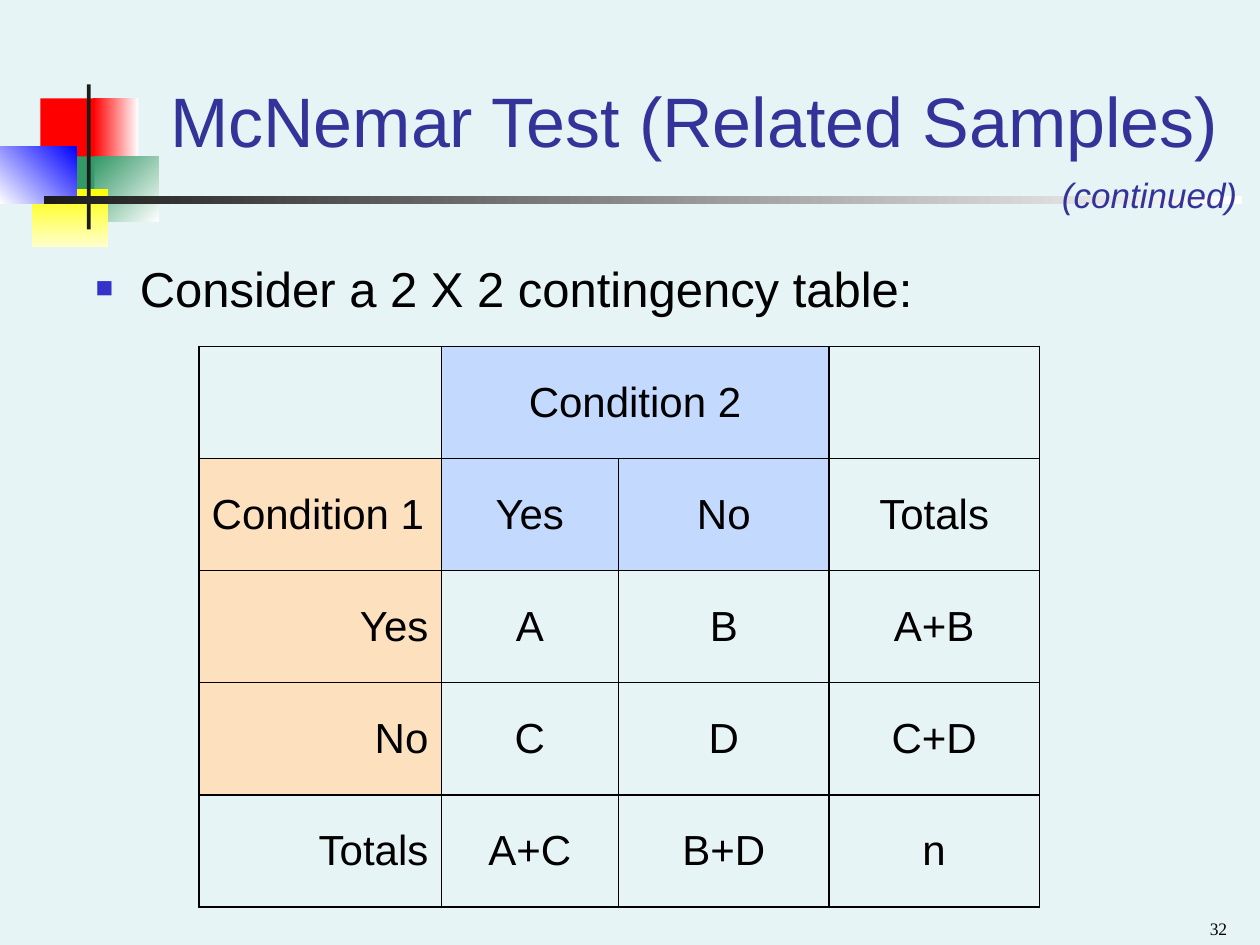
from pptx import Presentation
from pptx.dml.color import RGBColor
from pptx.enum.shapes import MSO_SHAPE as Shape
from pptx.enum.text import MSO_ANCHOR as Anchor, PP_ALIGN as Align
from pptx.oxml import parse_xml
from pptx.oxml.ns import nsdecls
from pptx.util import Inches, Pt

PALE = RGBColor(0xE7, 0xF4, 0xF5)
WHITE = RGBColor(0xFF, 0xFF, 0xFF)
BLACK = RGBColor(0, 0, 0)
DARK = RGBColor(0x1C, 0x1C, 0x1C)
RED = RGBColor(0xFF, 0, 0)
GREEN = RGBColor(0x33, 0x99, 0x66)
YELLOW = RGBColor(0xFF, 0xFF, 0)
CREAM = RGBColor(0xFF, 0xFF, 0xCC)
BLUE = RGBColor(0, 0, 0xFF)
NAVY = RGBColor(0x33, 0x33, 0x99)
SKY = RGBColor(0xC4, 0xD9, 0xFE)
PEACH = RGBColor(0xFD, 0xE0, 0xBD)


def style(par, size, color, font="Arial", align=Align.LEFT, before=0):
    par.alignment = align
    par.space_before = Pt(before)
    for run in par.runs:
        run.font.size = Pt(size)
        run.font.name = font
        run.font.color.rgb = color


def add_text(text, box, anchor, inset=0.09):
    """Add a wrapped text box and return its only paragraph."""
    frame = slide.shapes.add_textbox(*map(Inches, box)).text_frame
    frame.word_wrap = True
    frame.vertical_anchor = anchor
    frame.margin_left = frame.margin_right = Inches(inset)
    frame.text = text
    return frame.paragraphs[0]


prs = Presentation()
prs.slide_width, prs.slide_height = Inches(10), Inches(7.5)
slide = prs.slides.add_slide(prs.slide_layouts[6])
slide.background.fill.solid()
slide.background.fill.fore_color.rgb = PALE

# Corner ornament: box, start colour, end colour, counter-clockwise angle
blocks = [
    ((0.32, 0.78, 0.48, 0.52), RED, None, 0),
    ((0.74, 0.78, 0.36, 0.52), WHITE, RED, 180),
    ((0.75, 1.24, 0.51, 0.52), WHITE, GREEN, 135),
    ((0.43, 1.24, 0.32, 0.52), GREEN, None, 0),
    ((0.25, 1.5, 0.61, 0.46), YELLOW, CREAM, 270),
    ((0, 1.16, 0.61, 0.46), BLUE, WHITE, 225),
    ((0.69, 0.67, 0.03, 1.15), DARK, None, 0),
    ((0.35, 1.56, 9.51, 0.06), WHITE, DARK, 180),
]
for box, start, end, angle in blocks:
    block = slide.shapes.add_shape(Shape.RECTANGLE, *map(Inches, box))
    block.shadow.inherit = False
    block.line.fill.background()
    if end is None:
        block.fill.solid()
        block.fill.fore_color.rgb = start
    else:
        block.fill.gradient()
        block.fill.gradient_angle = angle
        for stop, color in zip(block.fill.gradient_stops, (start, end)):
            stop.color.rgb = color

title = add_text("McNemar Test (Related Samples)", (1.18, 0.25, 8.66, 1.08), Anchor.BOTTOM)
style(title, 40, NAVY, align=Align.CENTER)

point = add_text("Consider a 2 X 2 contingency table:", (0.67, 2, 8.83, 0.62), Anchor.TOP)
style(point, 28, BLACK, before=7)
props = point._p.get_or_add_pPr()
props.set("marL", str(Inches(0.35)))
props.set("indent", str(Inches(-0.35)))
for xml in (
    '<a:buClr {}><a:srgbClr val="3333CC"/></a:buClr>',
    '<a:buSzPct {} val="60000"/>',
    '<a:buFont {} typeface="Arial"/>',
    '<a:buChar {} char="■"/>',
):
    props.append(parse_xml(xml.format(nsdecls("a"))))

note = add_text("(continued)", (8.33, 1.33, 1.67, 0.44), Anchor.TOP, 0.1)
style(note, 20, NAVY, before=12.5)
note.runs[0].font.italic = True

# Contingency table
rows = [
    ["", "Condition 2", "", ""],
    ["Condition 1", "Yes", "No", "Totals"],
    ["Yes", "A", "B", "A+B"],
    ["No", "C", "D", "C+D"],
    ["Totals", "A+C", "B+D", "n"],
]
widths = [1.92, 1.41, 1.67, 1.67]
box = map(Inches, (1.58, 2.75, sum(widths), 4.45))
table = slide.shapes.add_table(len(rows), len(widths), *box).table
table.first_row = table.horz_banding = False
for col, width in zip(table.columns, widths):
    col.width = Inches(width)
for row in table.rows:
    row.height = Inches(0.89)
table.cell(0, 1).merge(table.cell(0, 2))

# Grid lines around the totals and the outer edge are heavier
HEAVY_X, HEAVY_Y = (0, 3, 4), (0, 4, 5)
for r, texts in enumerate(rows):
    for c, text in enumerate(texts):
        cell = table.cell(r, c)
        right = c + (cell.span_width if cell.is_merge_origin else 1)
        edges = {"L": c in HEAVY_X, "R": right in HEAVY_X,
                 "T": r in HEAVY_Y, "B": r + 1 in HEAVY_Y}
        props = cell._tc.get_or_add_tcPr()
        for side, heavy in edges.items():
            width = Pt(1.08 if heavy else 0.45)
            props.append(parse_xml(
                f'<a:ln{side} {nsdecls("a")} w="{width}"><a:solidFill>'
                f'<a:srgbClr val="{BLACK}"/></a:solidFill></a:ln{side}>'))

        if c in (1, 2) and r < 2:
            fill = SKY
        elif c == 0 and 1 <= r <= 3:
            fill = PEACH
        else:
            fill = None
        if fill is None:
            cell.fill.background()
        else:
            cell.fill.solid()
            cell.fill.fore_color.rgb = fill

        if text:
            cell.vertical_anchor = Anchor.MIDDLE
            cell.text_frame.text = text
            if c > 0:
                align = Align.CENTER
            else:
                align = Align.LEFT if r == 1 else Align.RIGHT
            style(cell.text_frame.paragraphs[0], 24, BLACK, align=align, before=6)

number = add_text("32", (7.5, 7.15, 2.33, 0.35), Anchor.BOTTOM)
style(number, 10, BLACK, "Times New Roman", Align.RIGHT)

prs.save("out.pptx")
